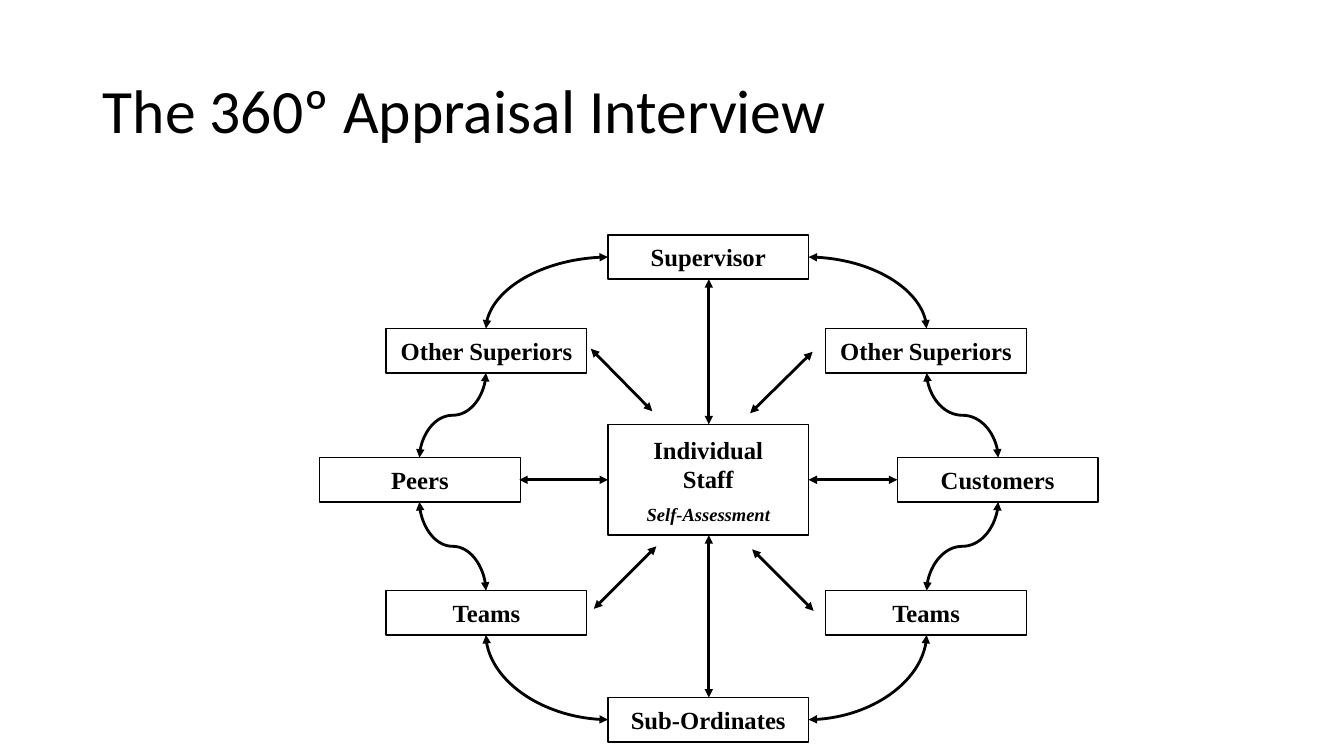
"""Build the 360º appraisal interview slide."""
from lxml.etree import SubElement
from pptx import Presentation
from pptx.dml.color import RGBColor
from pptx.enum.shapes import MSO_CONNECTOR as LINK, MSO_SHAPE as SHAPE
from pptx.enum.text import MSO_ANCHOR as ANCHOR, PP_ALIGN as ALIGN
from pptx.oxml.ns import qn
from pptx.util import Inches, Pt

COLOURS = {"ink": "000000"}
BOX_WIDTH, BOX_HEIGHT, STAFF_HEIGHT = 1.99, 0.44, 1.1
MIDDLE_LEFT, MIDDLE_RIGHT = 6.03, 8.02

RATERS = [
    ("Supervisor", MIDDLE_LEFT, 2.33),
    ("Other Superiors", 3.83, 3.26),
    ("Other Superiors", 8.19, 3.26),
    ("Peers", 3.17, 4.54),
    ("Customers", 8.9, 4.54),
    ("Teams", 3.83, 5.86),
    ("Teams", 8.19, 5.86),
    ("Sub-Ordinates", MIDDLE_LEFT, 6.92),
]
SPOKES = [
    (8.02, 4.76, 8.9, 4.76),
    (6.03, 4.76, 5.15, 4.76),
    (7.03, 5.31, 7.03, 6.92),
    (7.03, 4.21, 7.03, 2.77),
    (6.51, 5.42, 5.89, 6.04),
    (8.06, 3.49, 7.44, 4.1),
    (8.07, 6.06, 7.46, 5.45),
    (6.47, 4.08, 5.86, 3.46),
]
ARCS = [
    (MIDDLE_LEFT, 2.55, 4.82, 3.26),
    (MIDDLE_RIGHT, 2.55, 9.19, 3.26),
    (MIDDLE_LEFT, 7.14, 4.82, 6.3),
    (MIDDLE_RIGHT, 7.14, 9.19, 6.3),
]
WAVES = [
    (4.82, 3.7, 4.16, 4.54),
    (9.19, 3.7, 9.9, 4.54),
    (4.16, 4.98, 4.82, 5.86),
    (9.9, 4.98, 9.19, 5.86),
]


def colour(name):
    """Return a named colour."""
    return RGBColor.from_string(COLOURS[name])


def add_run(para, text, size, face, bold=False, italic=False):
    """Append one formatted run."""
    run = para.add_run()
    run.text = text
    run.font.size = Pt(size)
    run.font.name = face
    run.font.bold = bold
    run.font.italic = italic
    run.font.color.rgb = colour("ink")


def add_label(para, text, size=17.6, italic=False):
    """Append a centred bold label to a paragraph."""
    para.alignment = ALIGN.CENTER
    add_run(para, text, size, "Times New Roman", True, italic)


def add_box(page, left, top, height=BOX_HEIGHT):
    """Draw an outlined box and return its text frame."""
    box = page.shapes.add_shape(SHAPE.RECTANGLE, Inches(left), Inches(top),
                                Inches(BOX_WIDTH), Inches(height))
    box.shadow.inherit = False
    box.fill.background()
    box.line.color.rgb = colour("ink")
    box.line.width = Pt(1)
    box.text_frame.word_wrap = True
    box.text_frame.vertical_anchor = ANCHOR.MIDDLE
    return box.text_frame


def add_arrow(page, kind, points):
    """Draw a double-headed connector between two points."""
    arrow = page.shapes.add_connector(kind, *[Inches(value) for value in points])
    arrow.line.color.rgb = colour("ink")
    arrow.line.width = Pt(2)
    outline = arrow.line._get_or_add_ln()
    for end in ("a:headEnd", "a:tailEnd"):
        SubElement(outline, qn(end), type="triangle")
    SubElement(arrow._element.spPr, qn("a:effectLst"))
    return arrow


def add_arc(page, points):
    """Draw a quarter turn that leaves its first point sideways."""
    arrow = add_arrow(page, LINK.CURVE, points)
    arrow._element.spPr.prstGeom.set("prst", "curvedConnector2")


def add_wave(page, points):
    """Draw an S-curve downwards by turning a sideways one."""
    left, top, right, bottom = points
    middle_x, middle_y = (left + right) / 2, (top + bottom) / 2
    side = 1 if right < left else -1
    reach, rise = side * (bottom - top) / 2, abs(right - left) / 2
    arrow = add_arrow(page, LINK.CURVE, (middle_x - reach, middle_y - rise,
                                         middle_x + reach, middle_y + rise))
    degrees = 90 if side == 1 else 270
    arrow._element.spPr.xfrm.set("rot", str(degrees * 60000))


def add_title(page, text):
    """Place and format the title."""
    title = page.shapes.title
    title.left, title.top = Inches(0.92), Inches(0.4)
    title.width, title.height = Inches(11.5), Inches(1.45)
    title.text_frame.vertical_anchor = ANCHOR.MIDDLE
    para = title.text_frame.paragraphs[0]
    para.alignment = ALIGN.LEFT
    para.line_spacing = 0.9
    add_run(para, text, 44, "Calibri")


def add_staff(page):
    """Draw the central box of the person appraised."""
    frame = add_box(page, MIDDLE_LEFT, 4.21, STAFF_HEIGHT)
    para = frame.paragraphs[0]
    add_label(para, "Individual")
    para.add_line_break()
    add_label(para, "Staff")
    note = frame.add_paragraph()
    note.space_before = Pt(6.6)
    add_label(note, "Self-Assessment", 13.2, True)


def main():
    """Build and save the slide."""
    deck = Presentation()
    deck.slide_width, deck.slide_height = Inches(13.33), Inches(7.5)
    page = deck.slides.add_slide(deck.slide_layouts.get_by_name("Title Only"))
    add_title(page, "The 360º Appraisal Interview")
    add_staff(page)
    for name, left, top in RATERS:
        add_label(add_box(page, left, top).paragraphs[0], name)
    for points in ARCS:
        add_arc(page, points)
    for points in WAVES:
        add_wave(page, points)
    for points in SPOKES:
        add_arrow(page, LINK.STRAIGHT, points)
    deck.save("out.pptx")


if __name__ == "__main__":
    main()
